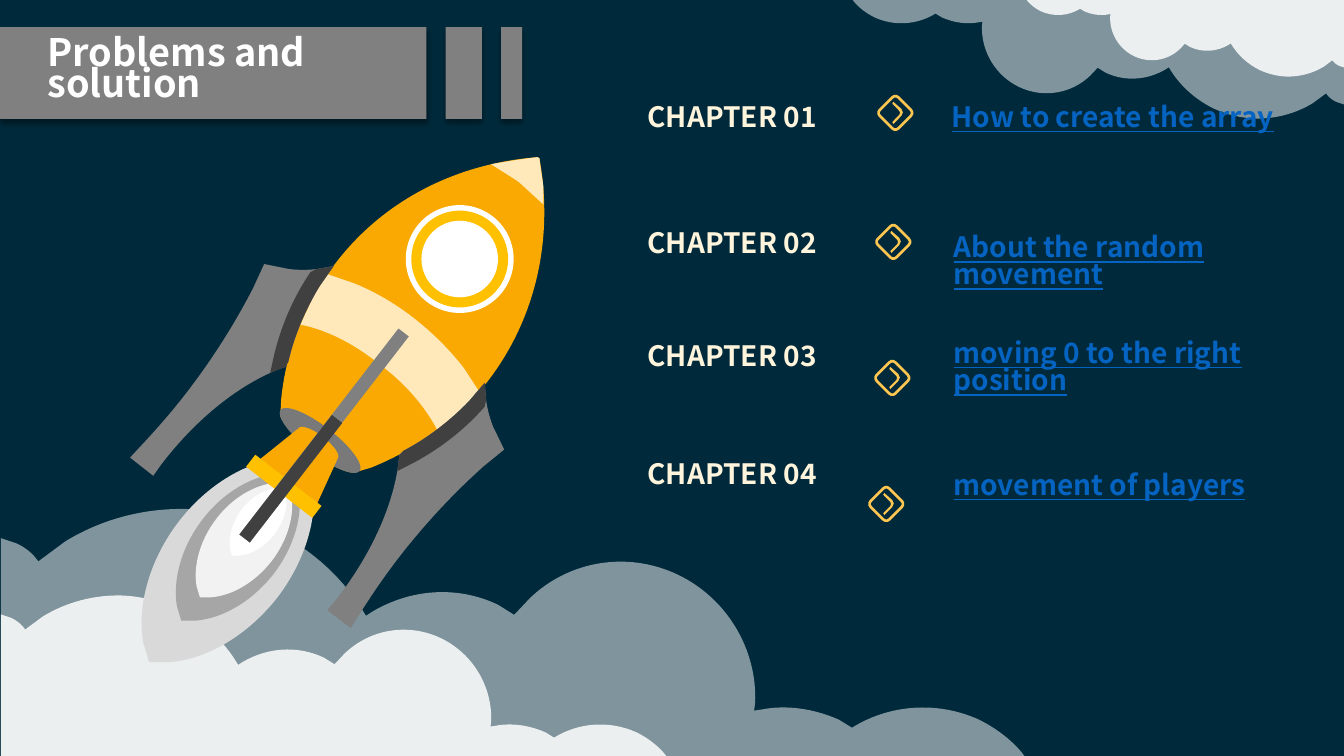
"""Build the rocket slide that lists the chapters on problems and solution."""
from math import cos, radians, sin

from lxml.etree import SubElement
from pptx import Presentation
from pptx.dml.color import RGBColor
from pptx.enum.shapes import MSO_SHAPE
from pptx.enum.text import MSO_ANCHOR, MSO_AUTO_SIZE, PP_ALIGN
from pptx.oxml.ns import qn
from pptx.util import Inches, Pt

FONT = "Noto Sans CJK SC"
NAVY = RGBColor(0x00, 0x2A, 0x3B)
WHITE = RGBColor(0xFF, 0xFF, 0xFF)
SNOW = RGBColor(0xF2, 0xF2, 0xF2)
PALE = RGBColor(0xD9, 0xD9, 0xD9)
SILVER = RGBColor(0xA6, 0xA6, 0xA6)
GRAY = RGBColor(0x80, 0x80, 0x80)
STEEL = RGBColor(0x79, 0x79, 0x79)
DARK = RGBColor(0x40, 0x40, 0x40)
ORANGE = RGBColor(0xF9, 0xA9, 0x01)
GOLD = RGBColor(0xFF, 0xC0, 0x00)
AMBER = RGBColor(0xFE, 0xC6, 0x50)
CREAM = RGBColor(0xFF, 0xE8, 0xB9)
IVORY = RGBColor(0xFF, 0xF4, 0xDC)
BLUE = RGBColor(0x05, 0x63, 0xC1)

WIDE, HIGH = 13.33, 7.5
TITLE = "Problems and solution"
BARS = [(0, 4.23), (4.42, 0.36), (4.97, 0.21)]

# name, top, icon centre, topic, topic box
CHAPTERS = [
    ("CHAPTER 01", 0.98, (8.88, 1.12), "How to create the array", (9.34, 0.87, 0.62)),
    ("CHAPTER 02", 2.23, (8.86, 2.4), "About the random movement", (9.36, 2.3, 0.62)),
    ("CHAPTER 03", 3.35, (8.85, 3.75), "moving 0 to the right position", (9.36, 3.35, 0.62)),
    ("CHAPTER 04", 4.52, (8.79, 5), "movement of players", (9.36, 4.41, 0.85)),
]

# Outlines: a pair is a line to a point, six numbers are a curve
CLOUD = [
    (1.84, 2.45), (2.12, 2.44, 2.41, 2.37, 2.68, 2.25), (3.09, 2.05, 3.41, 1.75, 3.62, 1.39),
    (3.68, 1.43), (4.05, 1.65, 4.51, 1.7, 4.93, 1.5), (5.09, 1.4), (5.25, 1.57),
    (5.63, 1.93, 6.2, 2.04, 6.71, 1.8), (7.21, 1.56, 7.5, 1.05, 7.48, 0.53), (7.47, 0.45),
    (7.54, 0.46), (7.79, 0.51, 8.06, 0.47, 8.31, 0.36), (8.44, 0.28),
    (8.81, 0.51, 9.28, 0.55, 9.7, 0.36), (9.86, 0.28, 10.01, 0.17, 10.12, 0.04), (10.15, 0),
    (0, 0), (0, 2.16), (0.15, 2.11), (0.22, 2.08, 0.29, 2.03, 0.34, 1.97), (0.37, 1.93),
    (0.64, 2.13), (1, 2.35, 1.42, 2.46, 1.84, 2.45),
]
SKY = [(WIDE, 0, -0.48, 0.48, 50), (WIDE, 0, -0.31, 0.31, 85)]
GROUND = [(0.01, HIGH, 1, -1, 50), (0.01, HIGH, 0.65, -0.65, 85)]

HULL = [
    (5.35, 1.57), (5.49, 2.34, 5.33, 3.14, 4.84, 3.78),
    (4.53, 4.17, 4.13, 4.46, 3.68, 4.64), (3.51, 4.69),
    (3.42, 4.69, 3.26, 4.61, 3.09, 4.48), (2.93, 4.35, 2.81, 4.21, 2.78, 4.13),
    (2.79, 3.95), (2.84, 3.47, 3.02, 3.01, 3.33, 2.61), (3.82, 1.97, 4.55, 1.62, 5.33, 1.56),
]
BAND = [
    (4.11, 3.16), (4.3, 3.31, 4.46, 3.47, 4.6, 3.65), (4.75, 3.88),
    (4.72, 3.92, 4.64, 4.01, 4.59, 4.05), (4.34, 4.27),
    (4.22, 4.04, 4.03, 3.81, 3.76, 3.61), (3.5, 3.4, 3.23, 3.27, 2.98, 3.22),
    (3.12, 2.92), (3.25, 2.72), (3.51, 2.81), (3.71, 2.89, 3.92, 3.01, 4.11, 3.16),
]
NOSE = [
    (5.35, 1.57), (5.36, 1.67, 5.38, 1.77, 5.39, 1.86), (5.39, 2.03),
    (5.15, 1.81), (5.08, 1.76, 5.01, 1.72, 4.87, 1.63), (5.04, 1.6, 5.23, 1.57, 5.33, 1.56),
]
NOZZLE = [
    (3.2, 4.33), (3.31, 4.42, 3.38, 4.51, 3.35, 4.55), (3.13, 5.03), (2.55, 4.58),
    (2.96, 4.25), (2.98, 4.21, 3.09, 4.25, 3.2, 4.33),
]
FIN = [
    (3.31, 2.64), (3.17, 2.84), (3.03, 3.07, 2.92, 3.33, 2.86, 3.59), (2.83, 3.64),
    (2.42, 3.78, 1.96, 4.13, 1.59, 4.62), (1.52, 4.72), (1.29, 4.54),
    (1.42, 4.4), (1.56, 4.25, 1.7, 4.09, 1.84, 3.91), (2.11, 3.56, 2.33, 3.21, 2.51, 2.86),
    (2.62, 2.62), (2.87, 2.67), (2.96, 2.68, 3.05, 2.68, 3.14, 2.67),
]
ROOT = FIN[:4] + [
    (2.68, 3.7), (2.72, 3.52), (2.79, 3.23, 2.91, 2.95, 3.08, 2.7), (3.14, 2.67),
]
FLAME = [
    (0.78, -1.01), (0.84, -0.81), (0.9, -0.45, 0.78, -0.01, 0.49, 0.37),
    (0.19, 0.75, -0.21, 0.98, -0.58, 1.01), (-0.78, 1.01), (-0.84, 0.81),
    (-0.9, 0.45, -0.78, 0, -0.49, -0.38), (-0.2, -0.76, 0.2, -0.99, 0.57, -1.02),
]
FLAMES = [(2.26, 5.56, 1, PALE), (2.36, 5.43, 0.72, SILVER),
          (2.42, 5.36, 0.56, SNOW), (2.56, 5.18, 0.33, WHITE)]
HOOK = [
    (-0.02, -0.11), (0.06, -0.04), (0.08, -0.02, 0.08, 0.01, 0.06, 0.03), (-0.02, 0.11),
    (-0.03, 0.09), (0.04, 0.02), (0.05, 0.01, 0.05, -0.01, 0.04, -0.02), (-0.03, -0.09),
]
TILT = 37.7
HUB = (4.56, 2.57)
RINGS = [(1.07, WHITE), (0.96, GOLD), (0.76, WHITE)]
RODS = [(2.4, 4.75, 0.83, 0.15, GOLD), (3.15, 3.03, 0.13, 2.58, GRAY),
        (2.82, 4, 0.13, 1.5, DARK)]

deck = Presentation()
deck.slide_width, deck.slide_height = Inches(WIDE), Inches(HIGH)
slide = deck.slides.add_slide(deck.slide_layouts[5])
shapes = slide.shapes
slide.background.fill.solid()
slide.background.fill.fore_color.rgb = NAVY


def paint(shape, color):
    """Give a shape a flat fill with no line and no shadow."""
    shape.shadow.inherit = False
    shape.fill.solid()
    shape.fill.fore_color.rgb = color
    shape.line.fill.background()
    return shape


def mirror(dots):
    """Reflect points across the axis of the rocket."""
    nx, ny = cos(radians(TILT)), sin(radians(TILT))
    gaps = [2 * ((x - HUB[0]) * nx + (y - HUB[1]) * ny) for x, y in dots]
    return [(x - g * nx, y - g * ny) for (x, y), g in zip(dots, gaps)]


def draw(steps, color, x=0, y=0, sx=1, sy=1, turn=list):
    """Draw a closed outline of lines and curves, scaled and then moved."""
    dots = turn([(x + sx * p, y + sy * q)
                 for step in steps for p, q in zip(step[::2], step[1::2])])
    spots = [(Inches(p), Inches(q)) for p, q in dots]
    pen = shapes.build_freeform(*spots[0])
    pen.add_line_segments(spots[1:], close=True)
    shape = paint(pen.convert_to_shape(), color)
    track = next(shape._element.iter(qn("a:path")))
    lines = iter(track.findall(qn("a:lnTo")))
    for step in steps[1:]:
        line = next(lines)
        if len(step) == 6:
            line.tag = qn("a:cubicBezTo")
            for more in (next(lines), next(lines)):
                line.append(more[0])
                track.remove(more)
    return shape


def place(kind, x, y, w, h, color, turn=0):
    """Add a filled preset shape."""
    shape = shapes.add_shape(kind, Inches(x), Inches(y), Inches(w), Inches(h))
    shape.rotation = turn
    return paint(shape, color)


def clouds(rows):
    """Draw see-through clouds from one outline."""
    for *spot, alpha in rows:
        cloud = draw(CLOUD, WHITE, *spot)
        tint = cloud._element.spPr.find(qn("a:solidFill"))[0]
        SubElement(tint, qn("a:alpha"), val=str(alpha * 1000))


def write(box, text, size, color, align=PP_ALIGN.LEFT, gap=0.81, under=None):
    """Fill a box with one bold run."""
    frame = box.text_frame
    frame.word_wrap, frame.auto_size = True, MSO_AUTO_SIZE.NONE
    frame.vertical_anchor = MSO_ANCHOR.MIDDLE
    para = frame.paragraphs[0]
    para.alignment, para.line_spacing, para.space_before = align, gap, Pt(0)
    run = para.add_run()
    run.text = text
    font = run.font
    font.name, font.size, font.bold, font.underline = FONT, Pt(size), True, under
    font.color.rgb = color


def label(x, y, w, h, *look, **more):
    """Add a text box."""
    write(shapes.add_textbox(Inches(x), Inches(y), Inches(w), Inches(h)), *look, **more)


clouds(SKY)
for x, w in BARS:
    bar = place(MSO_SHAPE.RECTANGLE, x, 0.27, w, 0.91, GRAY)
    glow = SubElement(bar._element.spPr.find(qn("a:effectLst")), qn("a:outerShdw"),
                      blurRad=str(Pt(4)), dist=str(Pt(3)), dir="5400000", rotWithShape="0")
    tone = SubElement(glow, qn("a:srgbClr"), val="000000")
    SubElement(tone, qn("a:alpha"), val="40000")
clouds(GROUND)

title = shapes.title
title.left, title.top, title.width, title.height = map(Inches, (0.37, 0.27, 3.86, 0.91))
write(title, TITLE, 27, WHITE, gap=0.68)
shapes.element.append(title.element)

draw(HULL, ORANGE)
for x, y, size, color in FLAMES:
    draw(FLAME, color, x, y, size, size)
place(MSO_SHAPE.OVAL, 2.68, 4.23, 0.99, 0.28, STEEL, TILT)
draw(BAND, CREAM)
draw(NOSE, CREAM)
for size, color in RINGS:
    place(MSO_SHAPE.OVAL, HUB[0] - size / 2, HUB[1] - size / 2, size, size, color)
draw(NOZZLE, ORANGE)
for *box, color in RODS:
    place(MSO_SHAPE.RECTANGLE, *box, color, TILT)
for turn in (list, mirror):
    for part, color in ((FIN, GRAY), (ROOT, DARK)):
        draw(part, color, turn=turn)

for name, top, (x, y), topic, (left, high, tall) in CHAPTERS:
    label(5.38, top, 2.82, 0.4, name, 20, IVORY, align=PP_ALIGN.RIGHT, gap=0.9)
    label(left, high, 3.54, tall, topic, 20, BLUE, under=True)
    draw(HOOK, AMBER, x, y)
    frame = place(MSO_SHAPE.ROUNDED_RECTANGLE, x - 0.13, y - 0.13, 0.26, 0.26, AMBER, 45)
    frame.adjustments[0] = 0.16
    frame.fill.background()
    frame.line.color.rgb, frame.line.width = AMBER, Pt(1.9)

deck.save("out.pptx")
